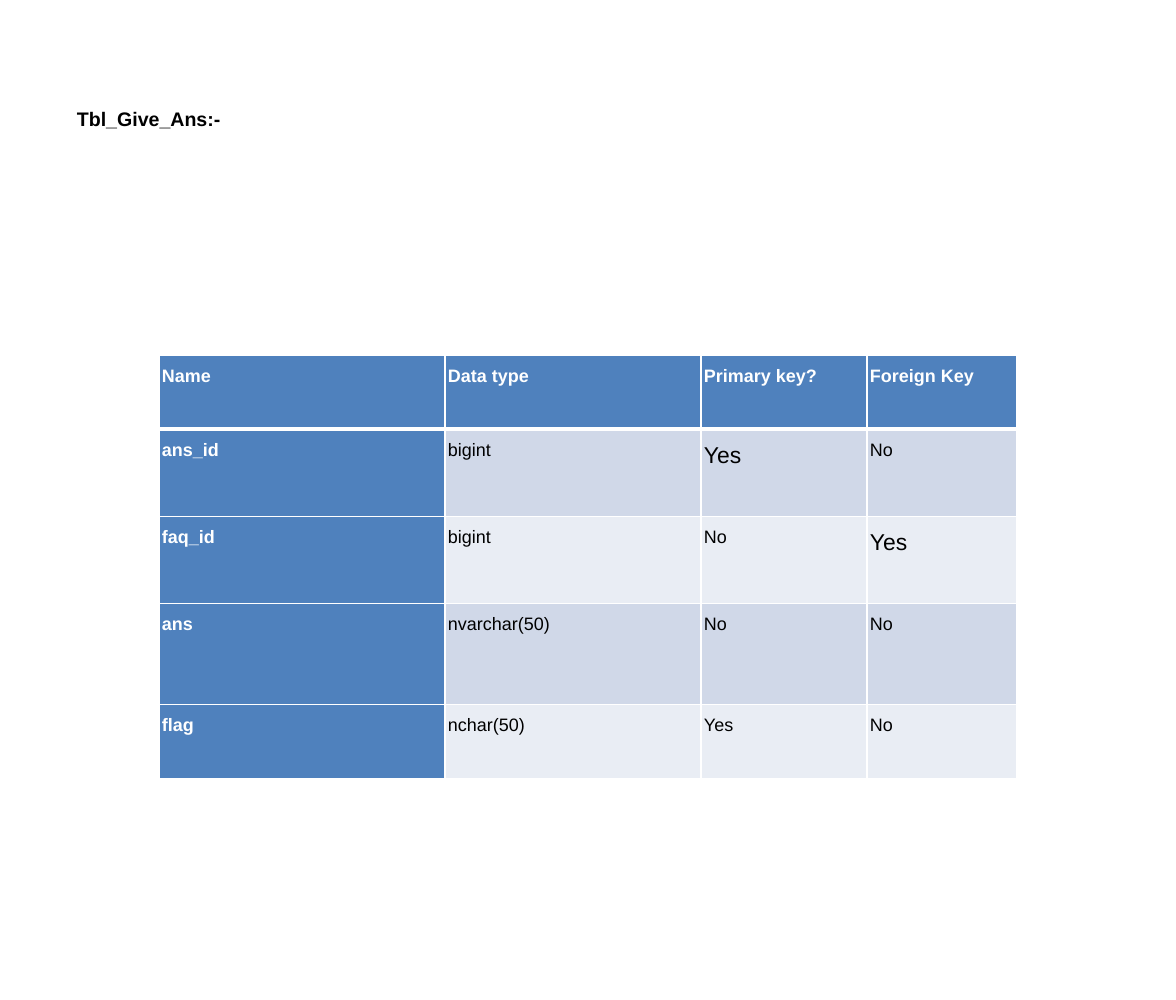
from pptx import Presentation
from pptx.dml.color import RGBColor
from pptx.enum.text import MSO_ANCHOR
from pptx.oxml import parse_xml
from pptx.oxml.ns import nsdecls
from pptx.util import Inches, Pt

SCALE = Inches(1) / 117.6


def px(length):
    return round(length * SCALE)


def write(frame, text, size=11, color="000000", bold=False, spacing=1.0, indent=0, inset=1):
    frame.margin_left = frame.margin_right = px(inset)
    frame.margin_top = frame.margin_bottom = px(min(inset, 6))
    para = frame.paragraphs[0]
    para.line_spacing = spacing
    if indent:
        para._p.get_or_add_pPr().set("marL", str(px(indent)))
    span = para.add_run()
    span.text = text
    span.font.name = "Arial"
    span.font.size = Pt(size)
    span.font.bold = bold
    span.font.color.rgb = RGBColor.from_string(color)


deck = Presentation()
deck.slide_width = Inches(10)
deck.slide_height = Inches(8.5)
page = deck.slides.add_slide(deck.slide_layouts[6])

title = page.shapes.add_textbox(px(65), px(101), px(169), px(84))
title.text_frame.word_wrap = False
title.text_frame.vertical_anchor = MSO_ANCHOR.TOP
write(title.text_frame, "Tbl_Give_Ans:-", size=12, bold=True, inset=12)

fields = [
    ["Name", "Data type", "Primary key?", "Foreign Key"],
    ["ans_id", "bigint", "Yes", "No"],
    ["faq_id", "bigint", "No", "Yes"],
    ["ans", "nvarchar(50)", "No", "No"],
    ["flag", "nchar(50)", "Yes", "No"],
]
large_cells = {(1, 2), (2, 3)}
widths = [286, 256, 166, 150]
heights = [74, 87, 87, 101, 74]

frame = page.shapes.add_table(
    len(heights), len(widths), px(159), px(355), px(sum(widths)), px(sum(heights))
)
table = frame.table
for column, width in zip(table.columns, widths):
    column.width = px(width)
for row, height in zip(table.rows, heights):
    row.height = px(height)

for row_index, values in enumerate(fields):
    for column_index, value in enumerate(values):
        cell = table.cell(row_index, column_index)
        heading = row_index == 0 or column_index == 0
        band = "D0D8E8" if row_index % 2 else "E9EDF4"
        cell.fill.solid()
        cell.fill.fore_color.rgb = RGBColor.from_string("4F81BD" if heading else band)
        cell.margin_left = cell.margin_right = px(1)
        cell.margin_top = cell.margin_bottom = px(1)
        write(
            cell.text_frame,
            value,
            size=14 if (row_index, column_index) in large_cells else 11,
            color="FFFFFF" if heading else "000000",
            bold=heading,
            spacing=1.5,
            indent=2,
        )
        for position, side in enumerate("LRTB"):
            thick = (row_index, side) in {(0, "B"), (1, "T")}
            border = parse_xml(
                f'<a:ln{side} {nsdecls("a")} w="{Pt(3 if thick else 1)}"><a:solidFill>'
                f'<a:srgbClr val="FFFFFF"/></a:solidFill></a:ln{side}>'
            )
            cell._tc.get_or_add_tcPr().insert(position, border)

deck.save("out.pptx")
